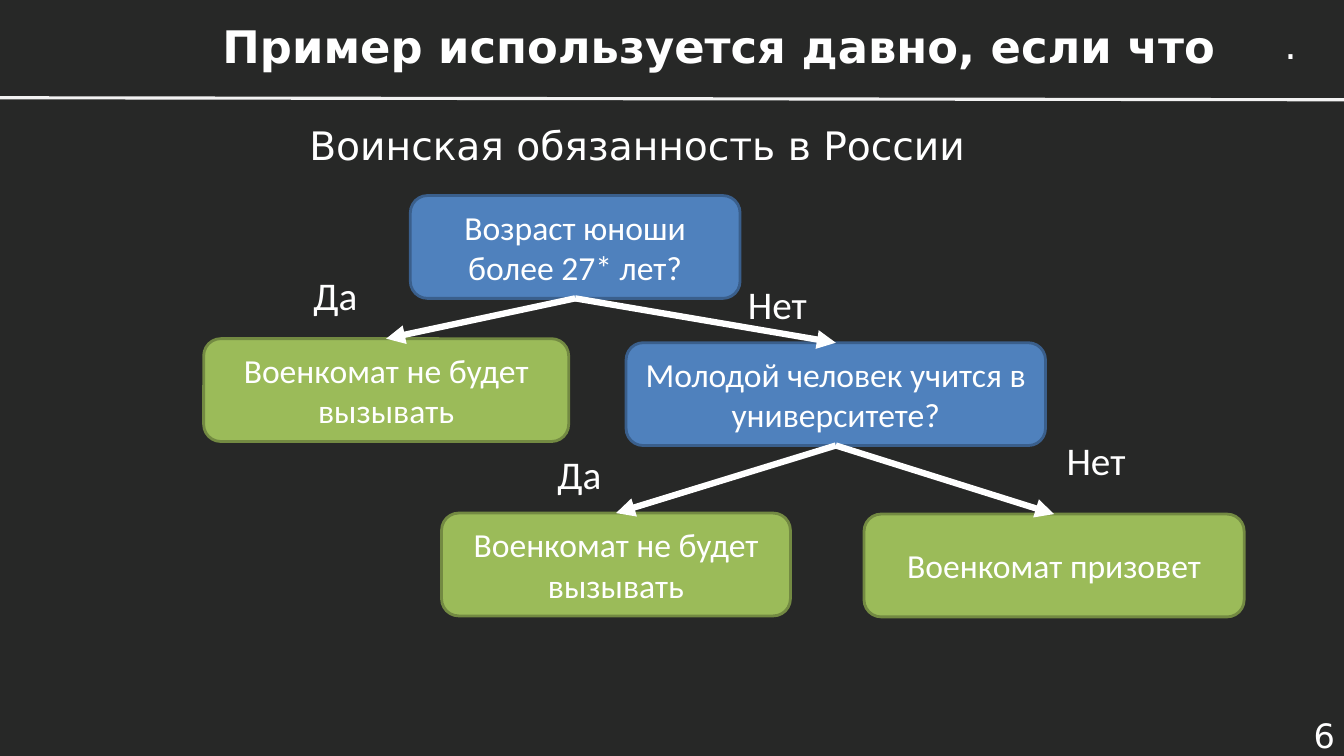
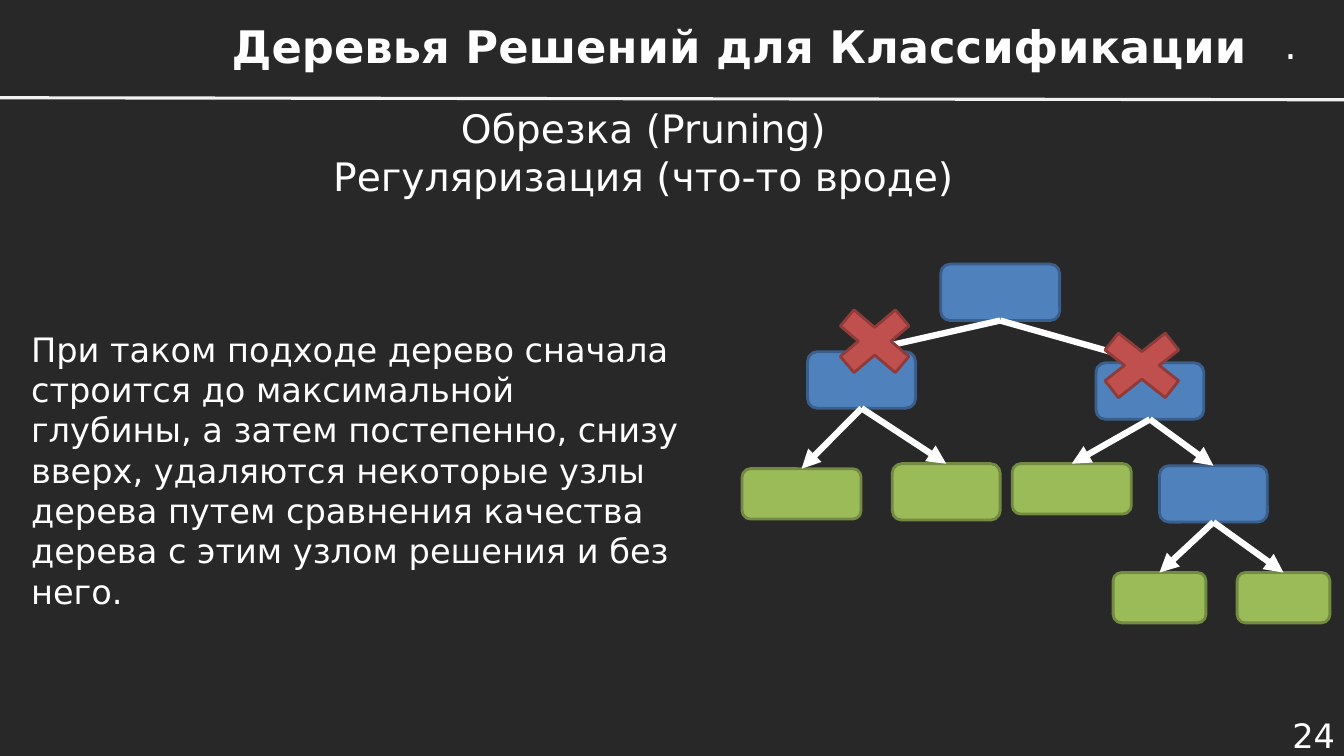
from lxml import etree
from pptx import Presentation
from pptx.dml.color import RGBColor
from pptx.enum.shapes import MSO_CONNECTOR, MSO_SHAPE
from pptx.enum.text import MSO_ANCHOR, MSO_AUTO_SIZE, PP_ALIGN
from pptx.oxml.ns import qn
from pptx.util import Inches, Pt

# Shared look
BACKGROUND = RGBColor(0x27, 0x28, 0x27)
WHITE = RGBColor(0xFF, 0xFF, 0xFF)
RULE = RGBColor(0xF2, 0xF2, 0xF2)
QUESTION = (RGBColor(0x4F, 0x81, 0xBD), RGBColor(0x3A, 0x5F, 0x8C))
LEAF = (RGBColor(0x9B, 0xBB, 0x59), RGBColor(0x73, 0x8A, 0x42))
CROSS = (RGBColor(0xC0, 0x50, 0x4D), RGBColor(0x8E, 0x3B, 0x39))
HEAD_FONT, NODE_FONT = "DejaVu Sans", "Calibri"

# Node: name -> (left, top, width, height), colours, text
# Edge: parent name, child name
SLIDES = [
    {
        "title": "Пример используется давно, если что",
        "title_box": (1.86, 0.19, 10.55, 0.53),
        "number": "6",
        "subtitle": ["Воинская обязанность в России"],
        "subtitle_box": (2.97, 1.15, 6.7, 0.57),
        "nodes": {
            "age": ((4.07, 1.94, 3.27, 1.02), QUESTION, "Возраст юноши более 27* лет?"),
            "study": ((6.21, 3.4, 4.16, 1.02), QUESTION,
                      "Молодой человек учится в университете?"),
            "student": ((4.38, 5.09, 3.46, 1.02), LEAF, "Военкомат не будет вызывать"),
            "older": ((2.02, 3.36, 3.62, 1.02), LEAF, "Военкомат не будет вызывать"),
            "drafted": ((8.57, 5.1, 3.77, 1.02), LEAF, "Военкомат призовет"),
        },
        "edges": [("age", "older"), ("age", "study"),
                  ("study", "student"), ("study", "drafted")],
    },
    {
        "title": "Деревья Решений для Классификации",
        "title_box": (2.1, 0.19, 10.47, 0.53),
        "number": "24",
        "subtitle": ["Обрезка (Pruning)", "Регуляризация (что-то вроде)"],
        "subtitle_box": (3.2, 0.99, 6.36, 1.04),
        "nodes": {
            "root": ((9.33, 2.62, 1.18, 0.56), QUESTION, ""),
            "left": ((8.01, 3.49, 1.07, 0.56), QUESTION, ""),
            "right": ((10.87, 3.6, 1.07, 0.56), QUESTION, ""),
            "left leaf 1": ((7.36, 4.65, 1.18, 0.5), LEAF, ""),
            "left leaf 2": ((8.85, 4.6, 1.07, 0.56), LEAF, ""),
            "right leaf": ((10.04, 4.6, 1.18, 0.5), LEAF, ""),
            "deep": ((11.5, 4.62, 1.07, 0.56), QUESTION, ""),
            "deep leaf 1": ((11.04, 5.68, 0.92, 0.5), LEAF, ""),
            "deep leaf 2": ((12.27, 5.68, 0.92, 0.5), LEAF, ""),
        },
        "edges": [("root", "left"), ("root", "right"),
                  ("left", "left leaf 1"), ("left", "left leaf 2"),
                  ("right", "right leaf"), ("right", "deep"),
                  ("deep", "deep leaf 1"), ("deep", "deep leaf 2")],
    },
]


def write(sp, paragraphs, size, font=HEAD_FONT, align=PP_ALIGN.LEFT,
          anchor=MSO_ANCHOR.TOP, wrap=True, bold=False):
    tf = sp.text_frame
    tf.auto_size = MSO_AUTO_SIZE.NONE
    tf.word_wrap = wrap
    tf.vertical_anchor = anchor
    for i, text in enumerate(paragraphs):
        p = tf.add_paragraph() if i else tf.paragraphs[0]
        p.alignment = align
        r = p.add_run()
        r.text = text
        r.font.name, r.font.size, r.font.bold = font, Pt(size), bold
        r.font.color.rgb = WHITE


def add_block(slide, preset, box, colours):
    sp = slide.shapes.add_shape(preset, *map(Inches, box))
    sp.shadow.inherit = False
    sp.fill.solid()
    sp.fill.fore_color.rgb, sp.line.color.rgb = colours
    sp.line.width = Pt(2)
    return sp


prs = Presentation()
prs.slide_width, prs.slide_height = Inches(13.33), Inches(7.5)
fill = prs.slide_master.background.fill
fill.solid()
fill.fore_color.rgb = BACKGROUND

for content in SLIDES:
    slide = prs.slides.add_slide(prs.slide_layouts[5])
    shapes = slide.shapes

    # Title, subtitle, dot and slide number
    title = shapes.title
    title.left, title.top, title.width, title.height = map(Inches, content["title_box"])
    write(title, [content["title"]], 32, align=PP_ALIGN.CENTER,
          anchor=MSO_ANCHOR.MIDDLE, bold=True)
    subtitle = shapes.add_textbox(*map(Inches, content["subtitle_box"]))
    write(subtitle, content["subtitle"], 28, align=PP_ALIGN.CENTER, wrap=False)
    dot = shapes.add_textbox(Inches(12.64), Inches(0.15), Inches(0.34), Inches(0.57))
    write(dot, ["."], 28, wrap=False)
    number = shapes.add_textbox(Inches(12.29), Inches(7.08), Inches(1.05), Inches(0.42))
    write(number, [content["number"]], 24, align=PP_ALIGN.RIGHT, anchor=MSO_ANCHOR.MIDDLE)

    # Rule under the title
    rule = shapes.add_connector(MSO_CONNECTOR.STRAIGHT, 0, Inches(0.97),
                                prs.slide_width, Inches(0.99))
    rule.line.color.rgb, rule.line.width = RULE, Pt(2.25)
    etree.SubElement(rule.line._get_or_add_ln().getparent(), qn("a:effectLst"))

    # Tree nodes
    nodes = {}
    for name, (box, colours, text) in content["nodes"].items():
        nodes[name] = add_block(slide, MSO_SHAPE.ROUNDED_RECTANGLE, box, colours)
        if text:
            write(nodes[name], [text], 24, NODE_FONT, PP_ALIGN.CENTER, MSO_ANCHOR.MIDDLE)

    # Arrows from the bottom of a parent to the top of a child
    for parent, child in content["edges"]:
        arrow = shapes.add_connector(MSO_CONNECTOR.STRAIGHT, 0, 0, 0, 0)
        arrow.begin_connect(nodes[parent], 2)
        arrow.end_connect(nodes[child], 0)
        arrow.line.color.rgb, arrow.line.width = WHITE, Pt(4.5)
        ln = arrow.line._get_or_add_ln()
        etree.SubElement(ln, qn("a:tailEnd"), type="triangle")
        etree.SubElement(ln.getparent(), qn("a:effectLst"))

draft_slide, pruning_slide = prs.slides

# Answers on the branches
for left, top, width, answer in [(3.01, 2.64, 0.81, "Да"), (7.32, 2.73, 1.12, "Нет"),
                                 (5.43, 4.42, 0.87, "Да"), (10.48, 4.28, 1.12, "Нет")]:
    label = draft_slide.shapes.add_textbox(Inches(left), Inches(top),
                                           Inches(width), Inches(0.57))
    write(label, [answer], 28, NODE_FONT)

# Crosses on the pruned nodes
for box in [(8.15, 2.94, 1.05, 0.89), (10.75, 3.17, 1.15, 0.91)]:
    add_block(pruning_slide, MSO_SHAPE.MATH_MULTIPLY, box, CROSS)

# Explanation of pruning
explanation = pruning_slide.shapes.add_textbox(Inches(0.21), Inches(3.21),
                                               Inches(6.69), Inches(2.9))
write(explanation, ["При таком подходе дерево сначала строится до максимальной глубины, "
                    "а затем постепенно, снизу вверх, удаляются некоторые узлы дерева "
                    "путем сравнения качества дерева с этим узлом решения и без него."], 24)

prs.save("out.pptx")
